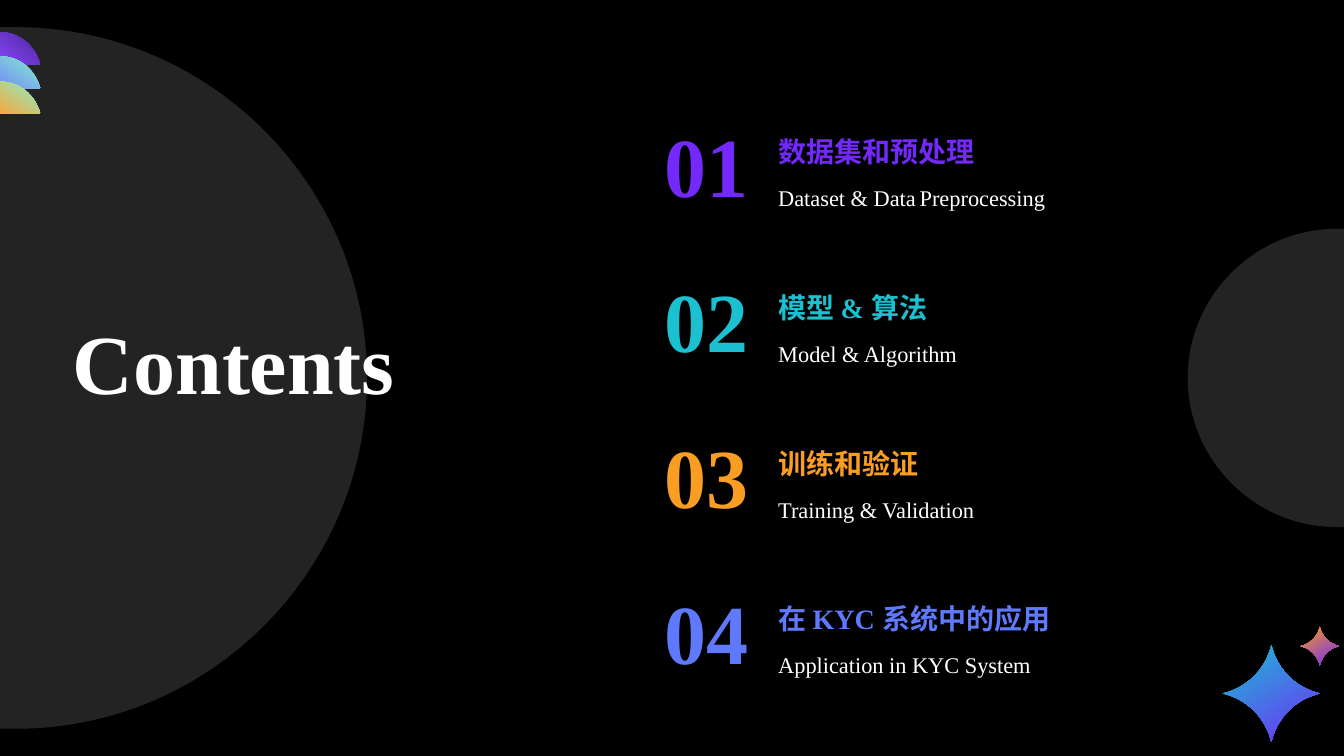
import dataclasses

import lxml.etree
import pptx
import pptx.dml.color
import pptx.enum.text
import pptx.oxml.ns
import pptx.util

PX = 9144  # EMU per px, 100 px to the inch
WIDTH, HEIGHT = 1333, 750
FONT = "Times New Roman"
COLORS = {
    "black": "000000", "white": "FFFFFF", "disc": "F0F0F0",
    "violet": "7229FA", "plum": "34038E", "teal": "1BC1D0",
    "orange": "FA9D23", "blue": "5F79FC", "mint": "74F3C2",
}
Point = tuple[float, float]
Segment = tuple[Point, ...]  # one point is a line, three are a Bezier curve


@dataclasses.dataclass
class Leaf:
    start: str
    end: str
    angle: int


@dataclasses.dataclass
class Star:
    x: int
    y: int
    radius: int
    start: str


@dataclasses.dataclass
class Disc:
    x: int
    radius: int
    side: int  # 1 bulges to the right, -1 to the left
    edge: int


@dataclasses.dataclass
class Chapter:
    heading: str
    color: str
    summary: tuple[tuple[str, float], ...]  # text and size in points
    summary_height: int = 42


LEAVES = [Leaf("plum", "violet", 131), Leaf("mint", "blue", 124),
          Leaf("mint", "orange", 124)]
STARS = [Star(1261, 688, 48, "teal"), Star(1309, 641, 19, "orange")]
DISCS = [Disc(16, 348, 1, 0), Disc(1326, 148, -1, WIDTH)]
CHAPTERS = [
    Chapter("数据集和预处理", "violet",
            (("Dataset & Data", 16), (" ", 10.5), ("Preprocessing", 16))),
    Chapter("模型 & 算法", "teal", (("Model & Algorithm", 16),)),
    Chapter("训练和验证", "orange", (("Training & Validation", 16),), 77),
    Chapter("在 KYC 系统中的应用", "blue", (("Application in KYC System", 16),), 77),
]


def rgb(name: str) -> pptx.dml.color.RGBColor:
    return pptx.dml.color.RGBColor.from_string(COLORS[name])


def outline(slide, start: Point, segments: list[Segment]):
    """Freeform made of straight lines and cubic curves, without a border."""
    points = [(x * PX, y * PX) for segment in segments for x, y in segment]
    builder = slide.shapes.build_freeform(start[0] * PX, start[1] * PX)
    builder.add_line_segments(points)
    shape = builder.convert_to_shape()
    shape.shadow.inherit = False
    shape.line.fill.background()
    steps = iter(shape.element.findall(".//" + pptx.oxml.ns.qn("a:lnTo")))
    for segment in segments:
        first, *others = [next(steps) for _ in segment]
        if others:
            first.tag = pptx.oxml.ns.qn("a:cubicBezTo")
        for other in others:
            first.append(other[0])
            other.getparent().remove(other)
    return shape


def fill_gradient(shape, start: str, end: str, clockwise: int) -> None:
    shape.fill.gradient()
    shape.fill.gradient_angle = 360 - clockwise
    for stop, position, color in zip(shape.fill.gradient_stops, (0, 1), (start, end)):
        stop.position = position
        stop.color.rgb = rgb(color)


def draw_leaf(slide, leaf: Leaf, top: int) -> None:
    arc = ((23, top + 3), (36, top + 16), (40, top + 32))
    shape = outline(slide, (0, top), [((7, top + 0.5),), arc, ((0, top + 32),)])
    fill_gradient(shape, leaf.start, leaf.end, leaf.angle)


def draw_star(slide, star: Star) -> None:
    quarter = [(0.12, -0.5), (0.5, -0.12), (1, 0)]
    segments = []
    for _ in range(4):
        segments.append(tuple((star.x + star.radius * u, star.y + star.radius * v)
                              for u, v in quarter))
        quarter = [(-v, u) for u, v in quarter]
    shape = outline(slide, (star.x, star.y - star.radius), segments)
    fill_gradient(shape, star.start, "violet", 57)


def draw_disc(slide, disc: Disc) -> None:
    middle, reach = HEIGHT / 2, disc.side * disc.radius
    top, bottom = middle - disc.radius, middle + disc.radius
    pull, rise = 0.55 * reach, 0.55 * disc.radius
    tip = disc.x + reach
    shape = outline(slide, (disc.x, top), [
        ((disc.x + pull, top), (tip, middle - rise), (tip, middle)),
        ((tip, middle + rise), (disc.x + pull, bottom), (disc.x, bottom)),
        ((disc.edge, bottom),),
        ((disc.edge, top),),
    ])
    shape.fill.solid()
    shape.fill.fore_color.rgb = rgb("disc")
    tint = shape.element.spPr.find(".//" + pptx.oxml.ns.qn("a:srgbClr"))
    lxml.etree.SubElement(tint, pptx.oxml.ns.qn("a:alpha"), val="15000")


def style(font, size: float, color: str, bold: bool) -> None:
    font.name, font.size, font.bold = FONT, pptx.util.Pt(size), bold
    font.color.rgb = rgb(color)


def add_text(slide, left: int, top: int, width: int, height: int,
             runs: tuple[tuple[str, float], ...], color: str, bold: bool = True):
    box = slide.shapes.add_textbox(left * PX, top * PX, width * PX, height * PX)
    box.text_frame.word_wrap = True
    box.text_frame.auto_size = pptx.enum.text.MSO_AUTO_SIZE.SHAPE_TO_FIT_TEXT
    for text, size in runs:
        run = box.text_frame.paragraphs[0].add_run()
        run.text = text
        style(run.font, size, color, bold)
    return box.text_frame


def draw_chapter(slide, number: int, chapter: Chapter, top: int) -> None:
    numeral = add_text(slide, 647, top, 107, 111, ((f"{number:02}", 60),), chapter.color)
    numeral.word_wrap = False
    numeral.vertical_anchor = pptx.enum.text.MSO_ANCHOR.MIDDLE
    numeral.paragraphs[0].alignment = pptx.enum.text.PP_ALIGN.CENTER
    summary = add_text(slide, 762, top + 63, 499, chapter.summary_height,
                       chapter.summary, "white", False)
    summary.paragraphs[0].line_spacing = 1.3
    add_text(slide, 762, top + 22, 499, 44, ((chapter.heading, 20),), chapter.color)


def draw_title(slide) -> None:
    title = slide.shapes.title
    title.element.getparent().append(title.element)  # in front of the discs
    title.left, title.top, title.width, title.height = (
        v * PX for v in (72, 303, 444, 111))
    frame = title.text_frame
    frame.text = "Contents"
    frame.word_wrap = True
    frame.auto_size = pptx.enum.text.MSO_AUTO_SIZE.SHAPE_TO_FIT_TEXT
    frame.vertical_anchor = pptx.enum.text.MSO_ANCHOR.TOP
    frame.margin_left, frame.margin_right = 0, 10 * PX
    frame.margin_top = frame.margin_bottom = 5 * PX
    frame.paragraphs[0].alignment = pptx.enum.text.PP_ALIGN.LEFT
    style(frame.paragraphs[0].runs[0].font, 60, "white", True)


def main() -> None:
    deck = pptx.Presentation()
    deck.slide_width, deck.slide_height = WIDTH * PX, HEIGHT * PX
    slide = deck.slides.add_slide(deck.slide_layouts[5])
    slide.background.fill.solid()
    slide.background.fill.fore_color.rgb = rgb("black")

    # Corner ornaments
    for index, leaf in enumerate(LEAVES):
        draw_leaf(slide, leaf, 32 + round(24.3 * index))
    for star in STARS:
        draw_star(slide, star)

    # Translucent discs
    for disc in DISCS:
        draw_disc(slide, disc)

    # Title and chapters
    draw_title(slide)
    for index, chapter in enumerate(CHAPTERS):
        draw_chapter(slide, index + 1, chapter, 107 + round(154.4 * index))

    deck.save("out.pptx")


if __name__ == "__main__":
    main()
